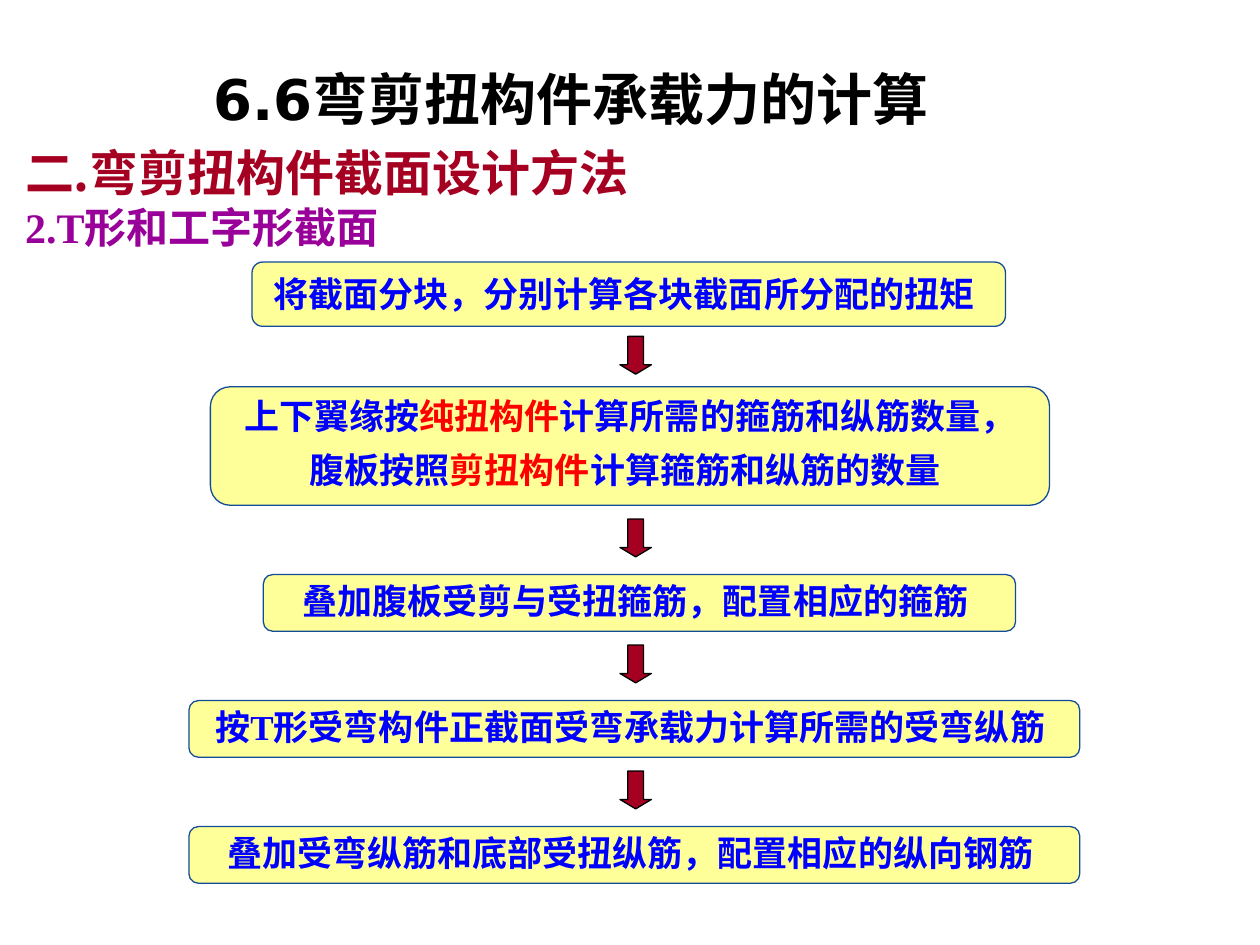
from pptx import Presentation
from pptx.dml.color import RGBColor
from pptx.enum.shapes import MSO_SHAPE
from pptx.enum.text import MSO_ANCHOR, MSO_AUTO_SIZE, PP_ALIGN
from pptx.oxml.ns import qn
from pptx.util import Inches, Pt
from lxml import etree

BLACK = RGBColor(0x00, 0x00, 0x00)
CRIMSON = RGBColor(0xA5, 0x00, 0x21)
PURPLE = RGBColor(0x99, 0x00, 0x99)
BLUE = RGBColor(0x00, 0x00, 0xFF)
RED = RGBColor(0xFF, 0x00, 0x00)
YELLOW = RGBColor(0xFF, 0xFF, 0x99)
NAVY = RGBColor(0x12, 0x4B, 0x98)

BOX = MSO_SHAPE.FLOWCHART_ALTERNATE_PROCESS
ARROW = MSO_SHAPE.DOWN_ARROW
MIDDLE = MSO_ANCHOR.MIDDLE
CENTER = PP_ALIGN.CENTER
GROW = MSO_AUTO_SIZE.SHAPE_TO_FIT_TEXT

SANS = "DejaVu Sans"
SERIF = "Times New Roman"
HAN = "Noto Sans CJK SC"

# left, top, width, height and the lines of runs: text, colour, size
STEPS = [
    (2, 2.08, 5.98, 0.51,
     [[("将截面分块，分别计算各块截面所分配的扭矩", BLUE, 20), (" ", BLUE, 24)]]),
    (1.67, 3.07, 6.66, 0.94,
     [[("上下翼缘按", BLUE, 20), ("纯扭构件", RED, 20),
       ("计算所需的箍筋和纵筋数量，", BLUE, 20)],
      [("腹板按照", BLUE, 20), ("剪扭构件", RED, 20),
       ("计算箍筋和纵筋的数量", BLUE, 20), (" ", BLUE, 24)]]),
    (2.09, 4.56, 5.97, 0.45,
     [[("叠加腹板受剪与受扭箍筋，配置相应的箍筋 ", BLUE, 20)]]),
    (1.5, 5.56, 7.07, 0.45,
     [[("按T形受弯构件正截面受弯承载力计算所需的受弯纵筋 ", BLUE, 20)]]),
    (1.5, 6.56, 7.07, 0.45,
     [[("叠加受弯纵筋和底部受扭纵筋，配置相应的纵向钢筋 ", BLUE, 20)]]),
]
ARROW_TOPS = [2.67, 4.12, 5.12, 6.12]


class Page:
    def __init__(self, slide):
        self.slide = slide

    def run(self, para, text, color, size, face=SERIF):
        run = para.add_run()
        run.text = text
        font = run.font
        font.size = Pt(size)
        font.bold = True
        font.name = face
        font.color.rgb = color
        east = etree.Element(qn("a:ea"), typeface=HAN)
        run._r.rPr.find(qn("a:latin")).addnext(east)

    def title(self, text, left, top, width, height):
        title = self.slide.shapes.title
        title.left, title.top = Inches(left), Inches(top)
        title.width, title.height = Inches(width), Inches(height)
        frame = title.text_frame
        frame.vertical_anchor = MIDDLE
        para = frame.paragraphs[0]
        para.alignment = CENTER
        self.run(para, text, BLACK, 32, SANS)

    def heads(self, left, top, width, height, lines):
        box = self.slide.shapes.add_textbox(
            Inches(left), Inches(top), Inches(width), Inches(height))
        frame = box.text_frame
        frame.word_wrap = False
        frame.auto_size = GROW
        for i, line in enumerate(lines):
            para = frame.add_paragraph() if i else frame.paragraphs[0]
            self.run(para, *line)

    def shape(self, kind, left, top, width, height, fill, edge):
        shape = self.slide.shapes.add_shape(
            kind, Inches(left), Inches(top), Inches(width), Inches(height))
        shape.shadow.inherit = False
        shape.fill.solid()
        shape.fill.fore_color.rgb = fill
        shape.line.color.rgb = edge
        shape.line.width = Pt(0.75)
        return shape

    def step(self, left, top, width, height, lines):
        box = self.shape(BOX, left, top, width, height, YELLOW, NAVY)
        frame = box.text_frame
        frame.word_wrap = True
        frame.auto_size = GROW
        frame.vertical_anchor = MIDDLE
        for i, line in enumerate(lines):
            para = frame.add_paragraph() if i else frame.paragraphs[0]
            para.alignment = CENTER
            para.line_spacing = 0.9
            if i:
                para.space_before = Pt(6)
            for part in line:
                self.run(para, *part)

    def arrow(self, top):
        arrow = self.shape(ARROW, 4.92, top, 0.25, 0.3, CRIMSON, BLACK)
        arrow.adjustments[0] = 0.5
        arrow.adjustments[1] = 0.3


def main():
    deck = Presentation()
    deck.slide_width, deck.slide_height = Inches(10), Inches(7.5)
    page = Page(deck.slides.add_slide(deck.slide_layouts[5]))
    page.title("6.6弯剪扭构件承载力的计算 ", 0, 0.47, 9.17, 0.62)
    page.heads(0.1, 1.08, 5.91, 0.97, [
        ("二.弯剪扭构件截面设计方法", CRIMSON, 28, HAN),
        ("2.T形和工字形截面", PURPLE, 24),
    ])
    for step in STEPS:
        page.step(*step)
    for top in ARROW_TOPS:
        page.arrow(top)
    deck.save("out.pptx")


if __name__ == "__main__":
    main()
